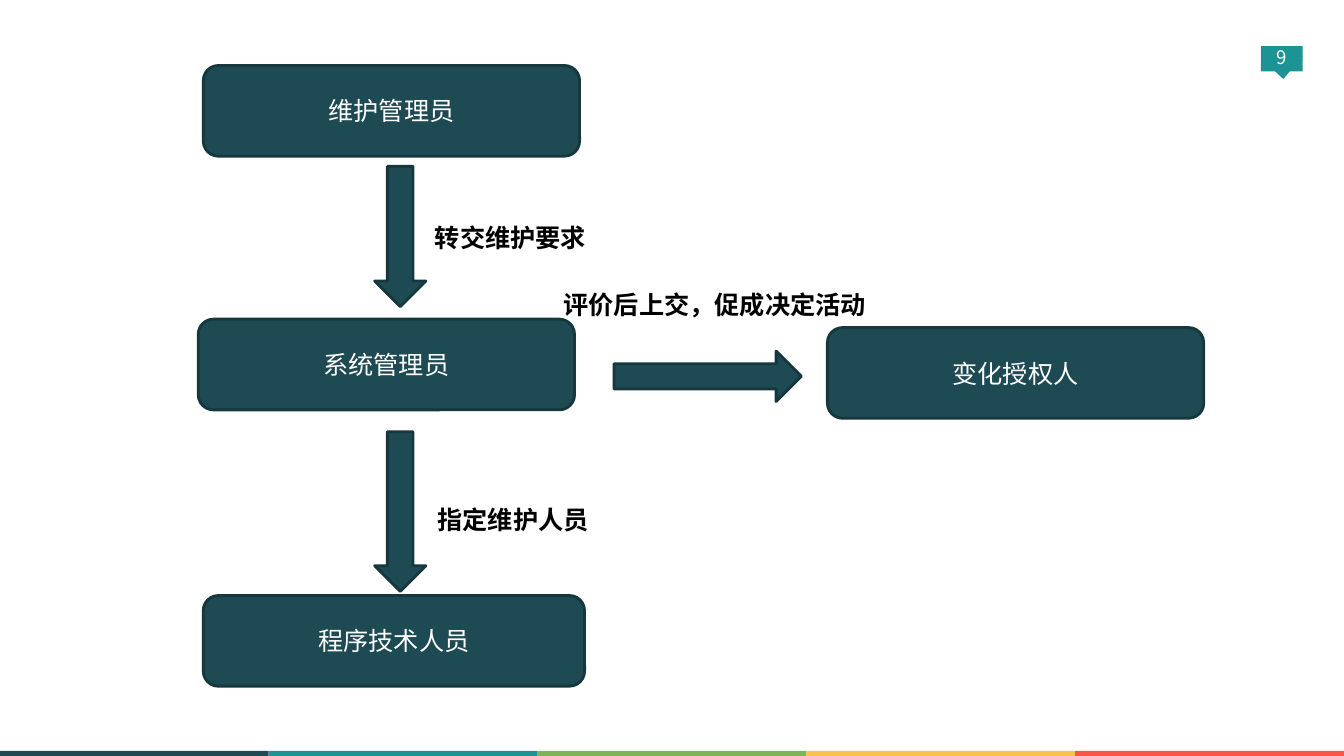
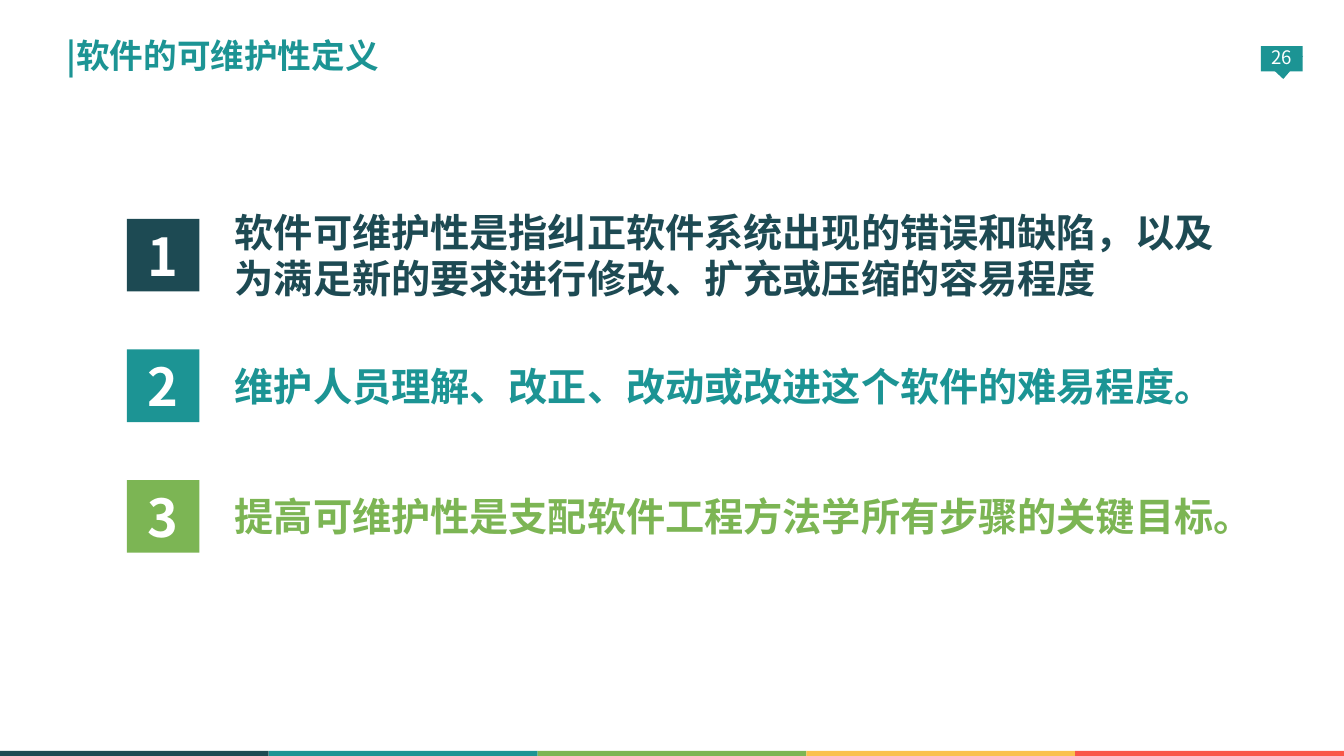
import pptx
import pptx.util
import pptx.dml.color
import pptx.enum.shapes
import pptx.enum.text
import pptx.oxml.ns
import lxml.etree

COLS, ROWS = 160, 90
UNIT = pptx.util.Inches(1) / 12
SLIDE = (0, 0, COLS, ROWS)
NAVY, TEAL, GREEN, YELLOW, RED = "1D4A53", "1C9494", "7CB554", "FAC14D", "F95647"
OUTLINE, WHITE, BLACK = "15373D", "FFFFFF", "000000"
CJK, LATIN = "Noto Sans CJK SC", "Arial"
SHAPE = pptx.enum.shapes.MSO_SHAPE
ALIGN = pptx.enum.text.PP_ALIGN
ANCHOR = pptx.enum.text.MSO_ANCHOR


def rgb(value):
    """Turn a hex string into a colour."""
    return pptx.dml.color.RGBColor.from_string(value)


def place(box, col, row, width, height):
    """Convert grid cells relative to a box into slide lengths."""
    return [round(n * UNIT) for n in (box[0] + col, box[1] + row, width, height)]


def write(sp, text, size=18, color=WHITE, font=CJK, bold=False, align=ALIGN.CENTER,
          anchor=ANCHOR.MIDDLE, insets=(0.1, 0.05, 0.1, 0.05), spacing=None):
    """Write one formatted paragraph into a shape."""
    tf = sp.text_frame
    tf.word_wrap = True
    tf.auto_size = pptx.enum.text.MSO_AUTO_SIZE.NONE
    tf.vertical_anchor = anchor
    (tf.margin_left, tf.margin_top,
     tf.margin_right, tf.margin_bottom) = map(pptx.util.Inches, insets)
    p = tf.paragraphs[0]
    p.alignment = align
    if spacing:
        p.line_spacing = pptx.util.Pt(spacing)
    r = p.add_run()
    r.text = text
    r.font.size = pptx.util.Pt(size)
    r.font.bold = bold
    r.font.color.rgb = rgb(color)
    r.font.name = font
    ea = lxml.etree.SubElement(r.font._element, pptx.oxml.ns.qn("a:ea"))
    ea.set("typeface", CJK)


def add_shape(s, kind, area, fill, line=None):
    """Add a flat preset shape with an optional outline."""
    sp = s.shapes.add_shape(kind, *area)
    sp.shadow.inherit = False
    sp.fill.solid()
    sp.fill.fore_color.rgb = rgb(fill)
    if line:
        sp.line.color.rgb = rgb(line)
        sp.line.width = pptx.util.Pt(2)
    else:
        sp.line.fill.background()
    return sp


def add_text(s, area, text, **style):
    """Add a text box with formatted text."""
    write(s.shapes.add_textbox(*area), text, **style)


def add_band(s, box):
    """Draw equal colour strips across a box."""
    colors = (NAVY, TEAL, GREEN, YELLOW, RED)
    width = box[2] / len(colors)
    for i, color in enumerate(colors):
        add_shape(s, SHAPE.RECTANGLE, place(box, i * width, 0, width, box[3]), color)


def add_page_tag(s, box, number):
    """Draw the page number on a pointed tag."""
    add_shape(s, SHAPE.RECTANGLE, place(box, 0, 0, box[2], 3), TEAL)
    tip = add_shape(s, SHAPE.ISOSCELES_TRIANGLE, place(box, 0.1, 1.3, box[2], 2.6), TEAL)
    tip.rotation = 176.8
    add_text(s, place(box, 0.2, -0.7, 4.6, 4.8), str(number), size=13.3,
             insets=(0, 0, 0, 0.07))


def add_slide(prs, layout, number):
    """Add a slide with the shared band and page tag."""
    s = prs.slides.add_slide(prs.slide_layouts[layout])
    add_band(s, (0, ROWS - 0.6, COLS, 1.2))
    add_page_tag(s, (150.1, 5.5, 5, 4), number)
    return s


def add_title(s, box, text):
    """Place and format the title."""
    title = s.shapes.title
    title.left, title.top, title.width, title.height = place(box, 0, 0, *box[2:])
    write(title, text, size=24, color=TEAL, bold=True, align=ALIGN.LEFT,
          anchor=ANCHOR.TOP, insets=(0, 0, 0.13, 0))


def add_flow(s, box):
    """Draw the roles, the arrows between them and their labels."""
    roles = (("维护管理员", 0.2, 0, 44.8), ("系统管理员", -0.4, 30.2, 44.8),
             ("程序技术人员", 0.2, 63.1, 45.4), ("变化授权人", 74.5, 31.2, 44.8))
    arrows = ((SHAPE.DOWN_ARROW, 20.6, 12, 6.1, 16.7),
              (SHAPE.DOWN_ARROW, 20.6, 43.6, 6.1, 19),
              (SHAPE.RIGHT_ARROW, 49.1, 34, 22.3, 6))
    labels = (("转交维护要求", 26.6, 18.1, 37.3), ("指定维护人员", 26.9, 51.6, 37.3),
              ("评价后上交，促成决定活动", 41.9, 26, 44.8))
    for text, col, row, width in roles:
        sp = add_shape(s, SHAPE.ROUNDED_RECTANGLE, place(box, col, row, width, 10.8),
                       NAVY, OUTLINE)
        write(sp, text)
    for kind, *cells in arrows:
        add_shape(s, kind, place(box, *cells), NAVY, OUTLINE)
    for text, col, row, width in labels:
        add_text(s, place(box, col, row, width, 4.8), text, color=BLACK, font=LATIN,
                 bold=True, align=ALIGN.LEFT, anchor=ANCHOR.TOP)


def add_numbered_rows(s, box, rows):
    """Stack equal rows, each with a numbered square and a statement."""
    height, side = box[3] / len(rows), 8.64
    for i, (color, text) in enumerate(rows):
        top = i * height
        square = add_shape(s, SHAPE.RECTANGLE,
                           place(box, 0, top + (height - side) / 2, side, side), color)
        write(square, str(i + 1), size=37.3, bold=True, insets=(0, 0, 0, 0))
        add_text(s, place(box, 11.3, top, box[2] - 11.3, height), text, size=28,
                 color=color, bold=True, align=ALIGN.LEFT, spacing=33,
                 insets=(0.13, 0.07, 0.13, 0.07))


def main():
    """Build and save the slides."""
    prs = pptx.Presentation()
    prs.slide_width, prs.slide_height = place(SLIDE, 0, 0, COLS, ROWS)[2:]

    s = add_slide(prs, 6, 9)
    add_flow(s, (24, 7.8, 120, 74))

    s = add_slide(prs, 5, 26)
    add_title(s, (7.9, 4.1, 120.2, 6.5), "|软件的可维护性定义")
    add_numbered_rows(s, (15.1, 22.6, 133, 46.65), (
        (NAVY, "软件可维护性是指纠正软件系统出现的错误和缺陷，以及为满足新的要求进行修改、扩充或压缩的容易程度"),
        (TEAL, "维护人员理解、改正、改动或改进这个软件的难易程度。"),
        (GREEN, "提高可维护性是支配软件工程方法学所有步骤的关键目标。")))
    prs.save("out.pptx")


if __name__ == "__main__":
    main()
